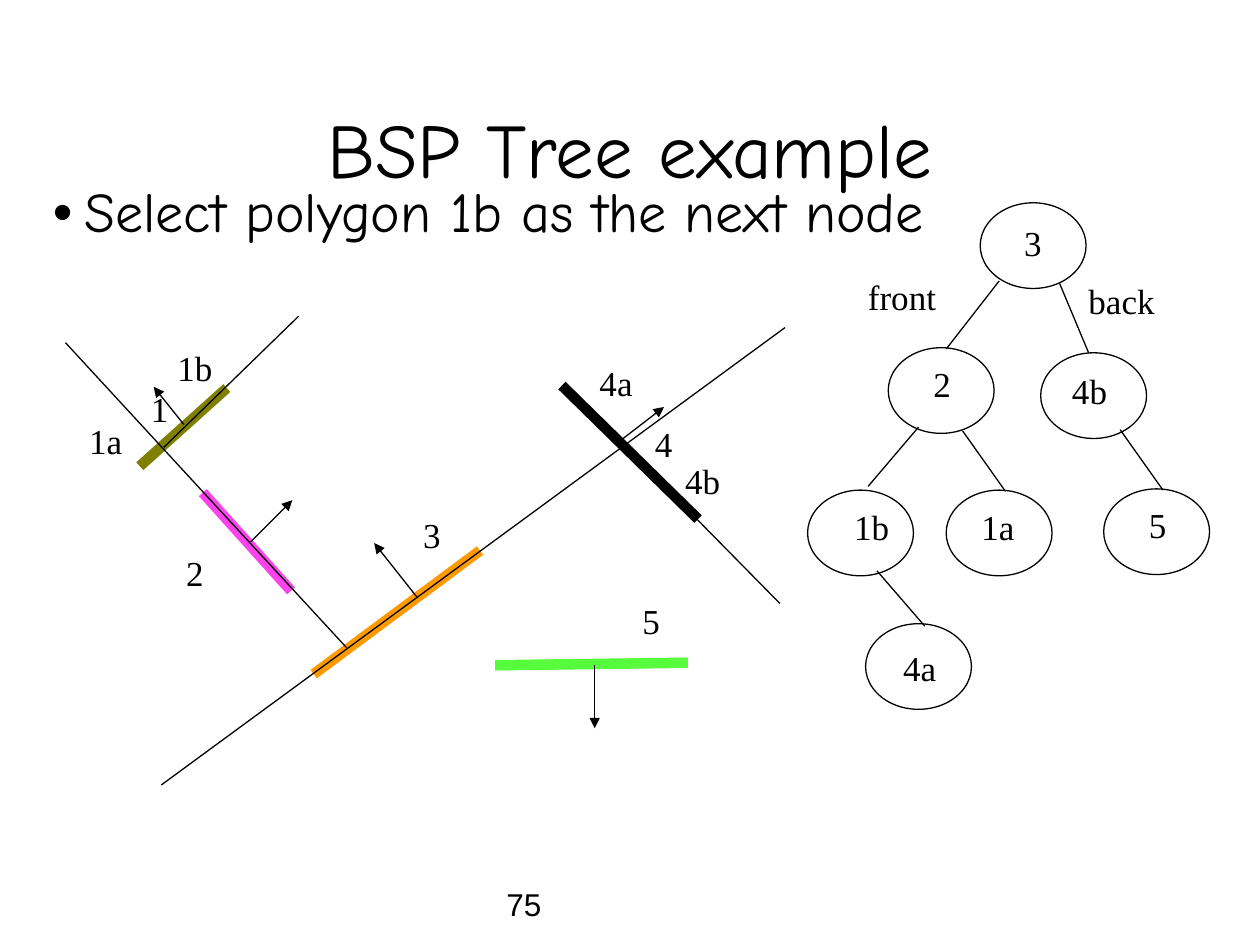
from lxml.etree import SubElement
from pptx import Presentation
from pptx.dml.color import RGBColor
from pptx.enum.shapes import MSO_CONNECTOR, MSO_SHAPE
from pptx.enum.text import MSO_ANCHOR, MSO_AUTO_SIZE, PP_ALIGN
from pptx.oxml.ns import qn
from pptx.util import Inches, Pt

BLACK = RGBColor(0x00, 0x00, 0x00)
OLIVE = RGBColor(0x80, 0x80, 0x00)
GREEN = RGBColor(0x57, 0xFC, 0x3C)
PINK = RGBColor(0xFD, 0x43, 0xEB)
ORANGE = RGBColor(0xFF, 0x99, 0x00)

POLYGONS = [
    ((1.8, 3.08), (1.11, 3.7), OLIVE),
    ((4.46, 3.06), (5.54, 4.12), BLACK),
    ((3.93, 5.28), (5.46, 5.26), GREEN),
    ((1.61, 3.91), (2.31, 4.69), PINK),
    ((2.49, 5.35), (3.81, 4.37), ORANGE),
]
NORMALS = [
    ((1.46, 3.37), (1.22, 3.07)),
    ((1.99, 4.3), (2.32, 3.97)),
    ((3.31, 4.74), (2.97, 4.31)),
    ((4.92, 3.5), (5.27, 3.23)),
    ((4.72, 5.28), (4.72, 5.78)),
]
SPLITTING_LINES = [
    ((1.28, 6.23), (6.23, 2.6)),
    ((2.75, 5.14), (0.52, 2.72)),
    ((4.95, 3.53), (6.19, 4.79)),
    ((1.3, 3.55), (2.37, 2.51)),
]
TREE_EDGES = [
    ((7.93, 2.23), (7.51, 2.77)),
    ((8.41, 2.25), (8.64, 2.8)),
    ((7.64, 3.42), (7.98, 3.9)),
    ((7.29, 3.39), (6.89, 3.86)),
    ((8.89, 3.41), (9.23, 3.89)),
    ((6.96, 4.53), (7.34, 4.97)),
]
TREE_NODES = [
    ("3", (7.78, 1.61), (8.03, 1.74)),
    ("2", (7.05, 2.76), (7.31, 2.86)),
    ("4b", (8.26, 2.8), (8.41, 2.91)),
    ("1a", (7.51, 3.89), (7.69, 3.99)),
    ("5", (8.76, 3.88), (9.02, 3.98)),
    ("1b", (6.41, 3.89), (6.68, 3.99)),
    ("4a", (6.87, 4.95), (7.07, 5.11)),
]
LABELS = [
    ("1", (1.1, 3.06)),
    ("2", (1.38, 4.36)),
    ("3", (3.26, 4.06)),
    ("4", (5.1, 3.33)),
    ("5", (5, 4.74)),
    ("4a", (4.66, 2.85)),
    ("4b", (5.34, 3.63)),
    ("1b", (1.31, 2.73)),
    ("1a", (0.61, 3.31)),
    ("front", (6.79, 2.17)),
    ("back", (8.54, 2.2)),
]
LABEL_WIDTHS = {1: 0.34, 2: 0.47, 4: 0.72, 5: 0.74}


class DiagramSlide:
    """Draws the elements of a diagram on one slide in a shared style."""

    heading_font = "Comic Neue"
    label_font = "Times New Roman"
    number_font = "Arial"
    thin = 0.75
    thick = 6

    def __init__(self, slide):
        self.slide = slide

    def format_text(self, shape, text, size, font, margins):
        frame = shape.text_frame
        frame.text = text
        frame.auto_size = MSO_AUTO_SIZE.NONE
        frame.margin_left, frame.margin_top, frame.margin_right, frame.margin_bottom = (
            Inches(margin) for margin in margins
        )
        paragraph = frame.paragraphs[0]
        paragraph.line_spacing = 0.93
        for run in paragraph.runs:
            run.font.name = font
            run.font.size = Pt(size)
            run.font.color.rgb = BLACK
        return paragraph

    def place(self, shape, left, top, width, height):
        shape.left, shape.top = Inches(left), Inches(top)
        shape.width, shape.height = Inches(width), Inches(height)

    def title(self, text):
        shape = self.slide.shapes.title
        self.place(shape, 0.5, 0.3, 9, 1.25)
        paragraph = self.format_text(shape, text, 44, self.heading_font, (0, 0, 0, 0))
        paragraph.alignment = PP_ALIGN.CENTER
        shape.text_frame.vertical_anchor = MSO_ANCHOR.BOTTOM

    def bullet(self, text):
        shape = self.slide.placeholders[1]
        self.place(shape, 0.42, 1.42, 9.08, 0.63)
        paragraph = self.format_text(shape, text, 32, self.heading_font, (0, 0.03, 0, 0))
        paragraph.space_before = Pt(0)
        paragraph.space_after = Pt(14.3)
        properties = paragraph._p.get_or_add_pPr()
        properties.set("marL", str(Inches(0.25)))
        properties.set("indent", str(Inches(-0.25)))
        color = SubElement(properties, qn("a:buClr"))
        SubElement(color, qn("a:srgbClr")).set("val", str(BLACK))
        SubElement(properties, qn("a:buChar")).set("char", "•")

    def text(self, text, left, top, width, height, size, font, wrap=False):
        shape = self.slide.shapes.add_textbox(
            Inches(left), Inches(top), Inches(width), Inches(height)
        )
        self.format_text(shape, text, size, font, (0.1, 0.05, 0.1, 0.05))
        shape.text_frame.word_wrap = wrap

    def label(self, text, position):
        self.text(text, *position, LABEL_WIDTHS[len(text)], 0.41, 20, self.label_font)

    def page_number(self, text):
        self.text(text, 3.92, 7, 2.33, 0.33, 18, self.number_font, wrap=True)

    def line(self, start, end, color=BLACK, width=thin, arrow=False):
        connector = self.slide.shapes.add_connector(
            MSO_CONNECTOR.STRAIGHT, *(Inches(value) for value in start + end)
        )
        connector.line.color.rgb = color
        connector.line.width = Pt(width)
        if arrow:
            outline = connector.line._get_or_add_ln()
            SubElement(outline, qn("a:tailEnd")).set("type", "triangle")
        SubElement(connector._element.spPr, qn("a:effectLst"))

    def node(self, text, position, label_position):
        left, top = position
        shape = self.slide.shapes.add_shape(
            MSO_SHAPE.OVAL, Inches(left), Inches(top), Inches(0.84), Inches(0.68)
        )
        shape.shadow.inherit = False
        shape.fill.background()
        shape.line.color.rgb = BLACK
        shape.line.width = Pt(self.thin)
        self.label(text, label_position)


def main():
    presentation = Presentation()
    presentation.slide_width = Inches(10)
    presentation.slide_height = Inches(7.5)
    layout = presentation.slide_layouts.get_by_name("Title and Content")
    diagram = DiagramSlide(presentation.slides.add_slide(layout))

    diagram.page_number("75")
    diagram.title("BSP Tree example")
    diagram.bullet("Select polygon 1b as the next node")
    for start, end, color in POLYGONS:
        diagram.line(start, end, color, diagram.thick)
    for start, end in NORMALS:
        diagram.line(start, end, arrow=True)
    for start, end in SPLITTING_LINES + TREE_EDGES:
        diagram.line(start, end)
    for text, position, label_position in TREE_NODES:
        diagram.node(text, position, label_position)
    for text, position in LABELS:
        diagram.label(text, position)

    presentation.save("out.pptx")


if __name__ == "__main__":
    main()
